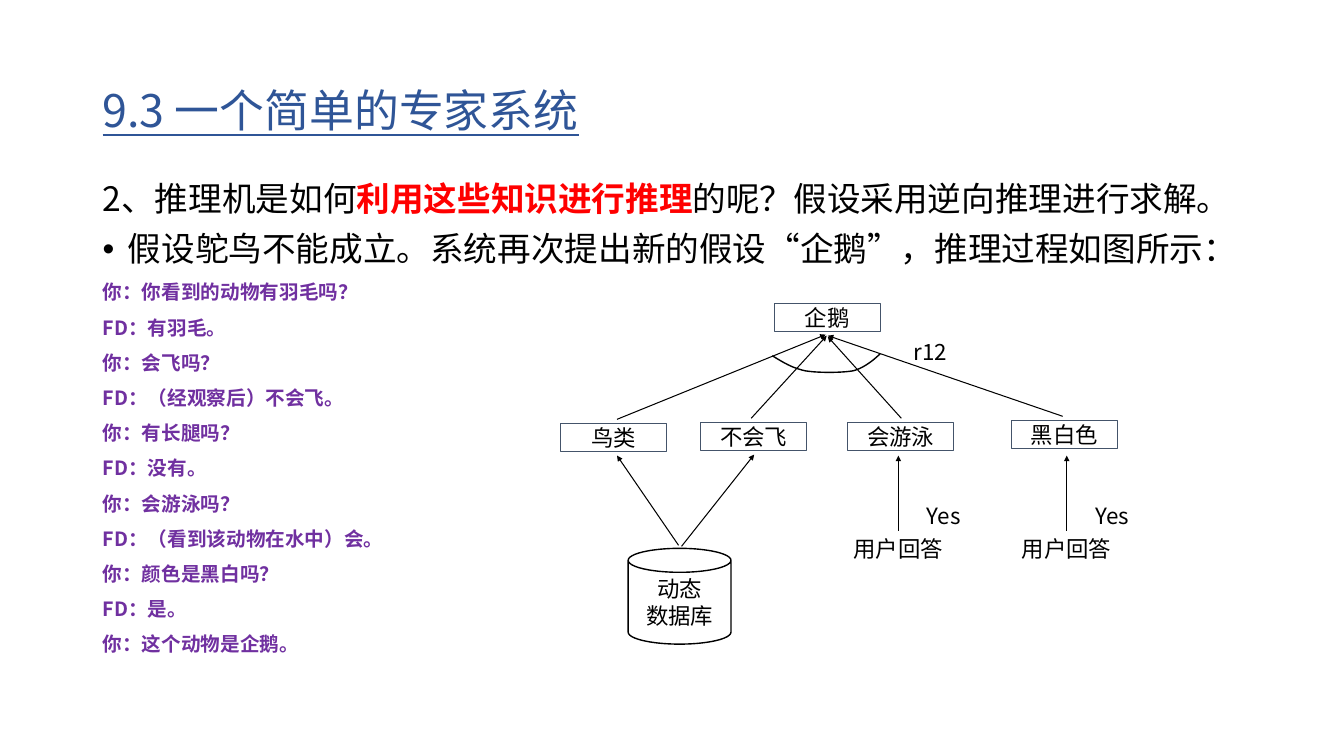
from dataclasses import dataclass

import pptx
import pptx.dml.color
import pptx.enum.shapes
import pptx.enum.text
import pptx.oxml.ns
import pptx.util
from lxml import etree

Inches = pptx.util.Inches
Pt = pptx.util.Pt
Shape = pptx.enum.shapes.MSO_SHAPE
Align = pptx.enum.text.PP_ALIGN
Anchor = pptx.enum.text.MSO_ANCHOR
qn = pptx.oxml.ns.qn

FONT = "Noto Sans CJK SC"
COLORS = {"title": "2F5597", "text": "000000", "accent": "FF0000",
          "dialogue": "7030A0", "border": "44546A"}


@dataclass
class Span:
    """A stretch of text in one style."""
    text: str
    size: float = 16
    color: str = "text"
    bold: bool = False
    underline: bool = False


@dataclass
class Node:
    """A labelled rectangle, or a bare label when it has no border."""
    text: str
    left: float
    top: float
    width: float = 1.05
    border: bool = True


@dataclass
class Arrow:
    """A line with its arrowhead at the tip."""
    tip: tuple[float, float]
    tail: tuple[float, float]


def rgb(name: str) -> pptx.dml.color.RGBColor:
    """Look up a named colour."""
    return pptx.dml.color.RGBColor.from_string(COLORS[name])


def add_span(para, span: Span) -> None:
    """Append one styled run to a paragraph."""
    run = para.add_run()
    run.text = span.text
    font = run.font
    font.name, font.size, font.bold = FONT, Pt(span.size), span.bold
    font.underline = span.underline
    font.color.rgb = rgb(span.color)
    latin = font._element.find(qn("a:latin"))
    east_asian = etree.Element(qn("a:ea"), typeface=FONT)
    latin.addnext(east_asian)


def fill_text(box, paras: list[list[Span]], align=Align.CENTER,
              anchor=Anchor.MIDDLE, spacing: float = 1, before: float = 0,
              margin: float = 0) -> None:
    """Fill a text frame paragraph by paragraph."""
    frame = box.text_frame
    frame.word_wrap = True
    frame.vertical_anchor = anchor
    frame.margin_top = frame.margin_bottom = Inches(margin / 2)
    frame.margin_left = frame.margin_right = Inches(margin)
    for index, spans in enumerate(paras):
        para = frame.add_paragraph() if index else frame.paragraphs[0]
        para.alignment = align
        para.line_spacing = spacing
        para.space_before = Pt(before)
        for span in spans:
            add_span(para, span)


def add_bullet(para, indent: float) -> None:
    """Give a paragraph a hanging round bullet."""
    properties = para._p.get_or_add_pPr()
    properties.set("marL", str(Inches(indent)))
    properties.set("indent", str(-Inches(indent)))
    etree.SubElement(properties, qn("a:buFont"), typeface="Arial")
    etree.SubElement(properties, qn("a:buChar"), char="•")


def outline(shape, color: str, width: float) -> None:
    """Leave a shape unfilled, with a plain outline."""
    shape.shadow.inherit = False
    shape.fill.background()
    shape.line.color.rgb = rgb(color)
    shape.line.width = Pt(width)


def add_node(page, node: Node) -> None:
    """Draw one node or label of the reasoning tree."""
    place = [Inches(v) for v in (node.left, node.top, node.width, 0.28)]
    if node.border:
        box = page.shapes.add_shape(Shape.RECTANGLE, *place)
        outline(box, "border", 0.75)
    else:
        box = page.shapes.add_textbox(*place)
    fill_text(box, [[Span(node.text)]])


def add_arrow(page, arrow: Arrow) -> None:
    """Draw a thin arrow with a small head."""
    ends = [Inches(v) for v in arrow.tip + arrow.tail]
    line = page.shapes.add_connector(pptx.enum.shapes.MSO_CONNECTOR.STRAIGHT, *ends)
    line.line.color.rgb = rgb("text")
    line.line.width = Pt(0.75)
    etree.SubElement(line.line._get_or_add_ln(), qn("a:headEnd"),
                     type="triangle", w="sm", len="sm")
    etree.SubElement(line._element.spPr, qn("a:effectLst"))


def curve_points(start, first, second, end, steps: int = 12) -> list:
    """Sample a cubic curve, leaving out its start."""
    points = []
    for step in range(1, steps + 1):
        t = step / steps
        u = 1 - t
        weights = (u**3, 3 * u * u * t, 3 * u * t * t, t**3)
        points.append(tuple(
            Inches(sum(w * p[axis] for w, p in zip(weights, (start, first, second, end))))
            for axis in (0, 1)))
    return points


def add_and_arc(page) -> None:
    """Draw the arc that joins the four conditions of the rule."""
    start = (7.66, 3.53)
    curves = [((7.76, 3.59), (7.85, 3.65), (7.99, 3.68)),
              ((8.12, 3.70), (8.33, 3.70), (8.46, 3.68)),
              ((8.58, 3.65), (8.69, 3.55), (8.73, 3.51))]
    builder = page.shapes.build_freeform(Inches(start[0]), Inches(start[1]))
    for curve in curves:
        builder.add_line_segments(curve_points(start, *curve), close=False)
        start = curve[-1]
    outline(builder.convert_to_shape(), "text", 1)


deck = pptx.Presentation()
deck.slide_width, deck.slide_height = Inches(13.33), Inches(7.5)
page = deck.slides.add_slide(deck.slide_layouts[6])

title = page.shapes.add_textbox(Inches(0.92), Inches(0.4), Inches(11.5), Inches(1.45))
fill_text(title, [[Span("9.3 一个简单的专家系统", 32, "title", underline=True)]],
          Align.LEFT, spacing=0.9, margin=0.1)

DIALOGUE = ["你：你看到的动物有羽毛吗？", "FD：有羽毛。", "你：会飞吗？",
            "FD：（经观察后）不会飞。", "你：有长腿吗？", "FD：没有。", "你：会游泳吗？",
            "FD：（看到该动物在水中）会。", "你：颜色是黑白吗？", "FD：是。",
            "你：这个动物是企鹅。"]
question = [Span("2、推理机是如何", 24),
            Span("利用这些知识进行推理", 24, "accent", bold=True),
            Span("的呢？假设采用逆向推理进行求解。", 24)]
hypothesis = [Span("假设鸵鸟不能成立。系统再次提出新的假设“企鹅”，推理过程如图所示：", 24)]
dialogue = [[Span(line, 14, "dialogue", bold=True)] for line in DIALOGUE]
body = page.shapes.add_textbox(Inches(0.92), Inches(1.76), Inches(11.88), Inches(4.64))
fill_text(body, [question, hypothesis] + dialogue, Align.LEFT, Anchor.TOP,
          spacing=0.9, before=10, margin=0.1)
add_bullet(body.text_frame.paragraphs[1], 0.25)

nodes = [Node("企鹅", 7.68, 3.01), Node("鸟类", 5.56, 4.2), Node("不会飞", 6.95, 4.19),
         Node("会游泳", 8.41, 4.19), Node("黑白色", 10.03, 4.17),
         Node("r12", 8.62, 3.35, 1.21, border=False)]
arrows = [Arrow((8.21, 3.33), (10.54, 4.13)), Arrow((8.21, 3.34), (8.94, 4.15)),
          Arrow((8.2, 3.33), (7.45, 4.15)), Arrow((8.19, 3.32), (6.12, 4.16)),
          Arrow((6.12, 4.52), (6.73, 5.41)), Arrow((7.48, 4.51), (6.76, 5.42))]
for center in (8.91, 10.58):
    nodes += [Node("用户回答", center - 0.6, 5.3, 1.2, border=False),
              Node("Yes", center - 0.15, 4.97, 1.2, border=False)]
    arrows.append(Arrow((center, 4.52), (center, 5.27)))
for node in nodes:
    add_node(page, node)
for arrow in arrows:
    add_arrow(page, arrow)
add_and_arc(page)

database = page.shapes.add_shape(Shape.CAN, Inches(6.23), Inches(5.44),
                                 Inches(1.02), Inches(0.95))
outline(database, "text", 1)
fill_text(database, [[Span("动态")], [Span("数据库")]])

deck.save("out.pptx")
